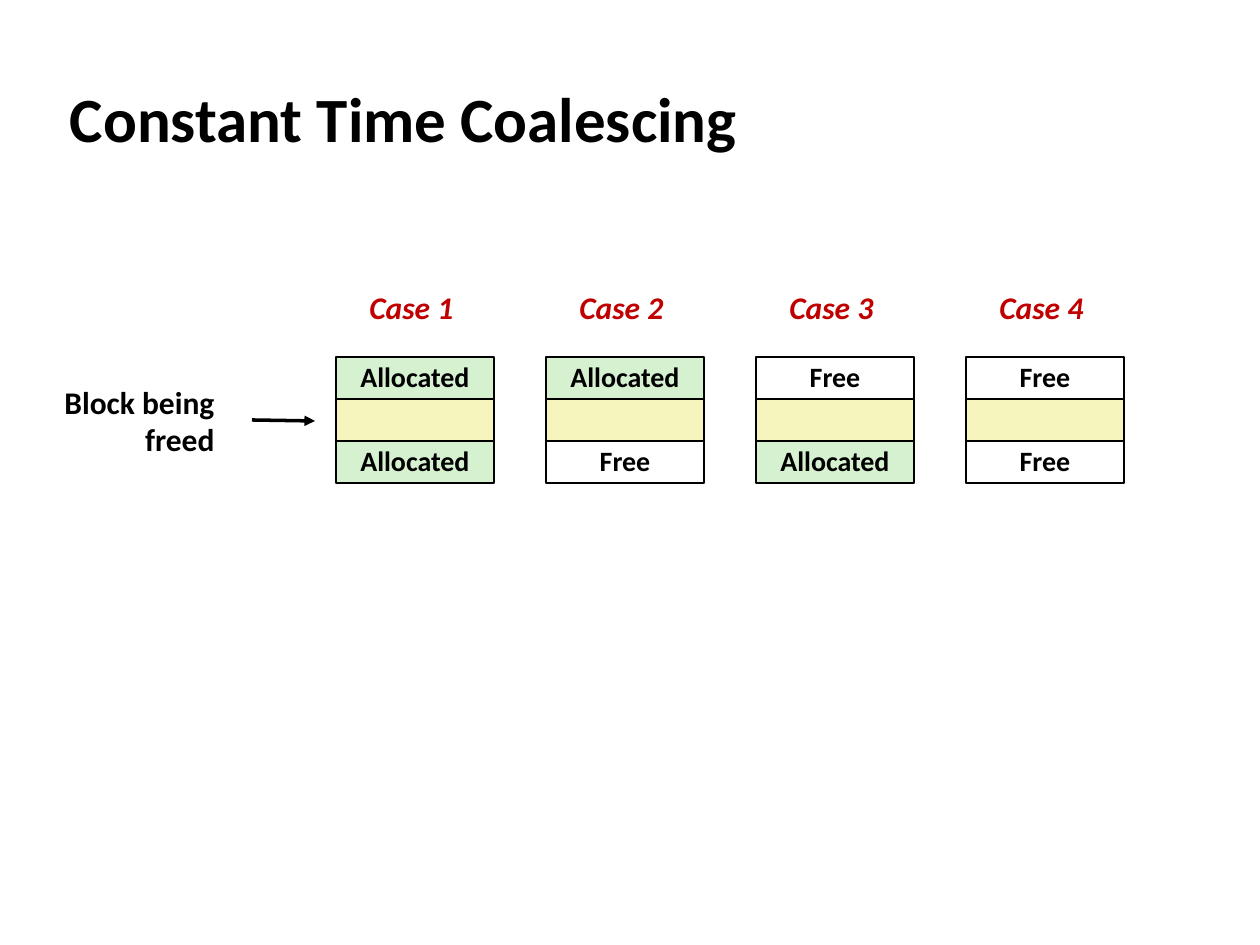
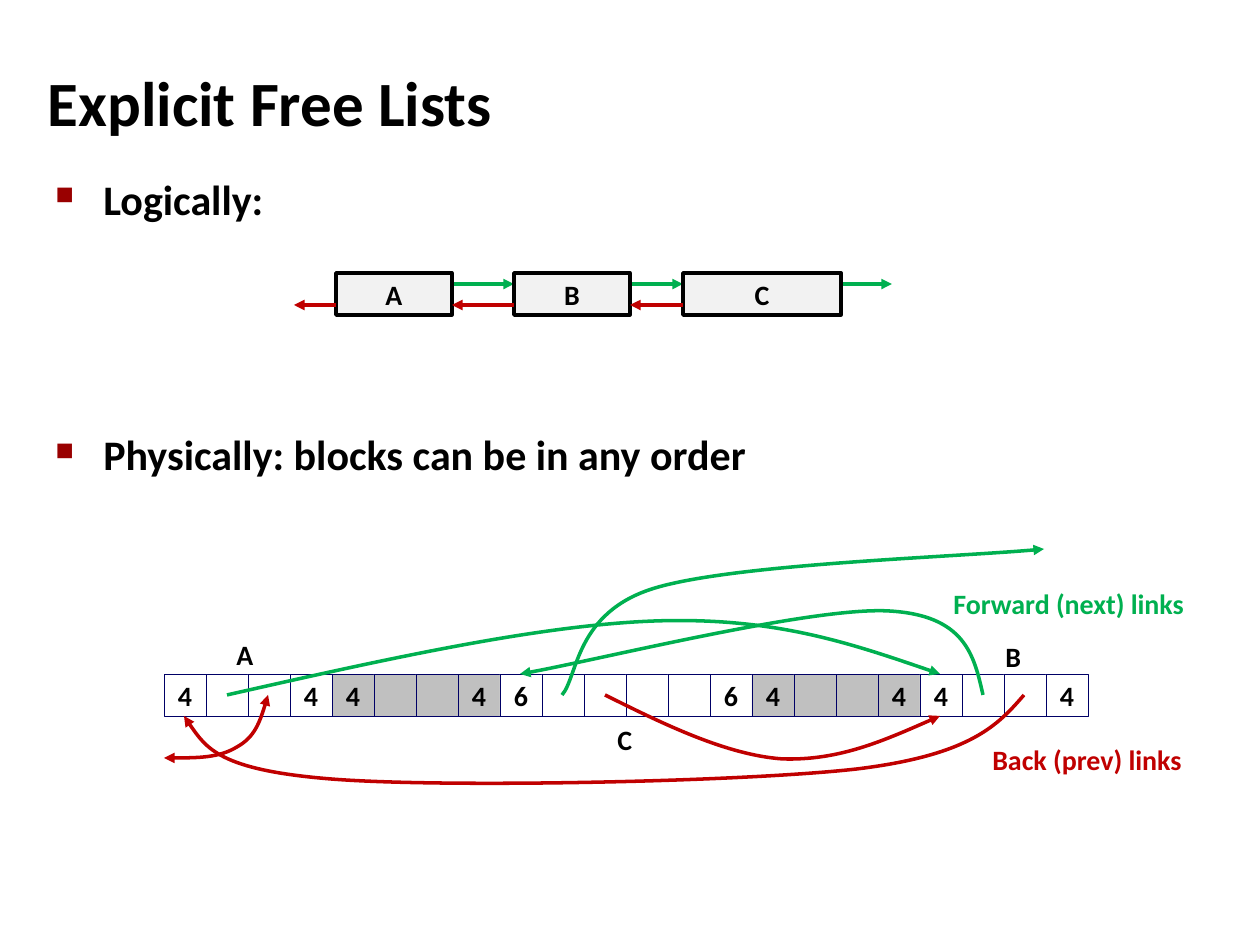
from dataclasses import dataclass

from lxml.etree import SubElement
from pptx import Presentation
from pptx.dml.color import RGBColor as Color
from pptx.enum.shapes import MSO_CONNECTOR as Connector, MSO_SHAPE as Shape
from pptx.enum.text import MSO_ANCHOR as Anchor, MSO_AUTO_SIZE as AutoSize, PP_ALIGN as Align
from pptx.oxml.ns import qn
from pptx.util import Emu, Inches, Pt

EMU_PER_PX = 914400 / 126


@dataclass(frozen=True)
class Theme:
    font: str = "Calibri"
    title_size: int = 36
    bullet_size: int = 24
    label_size: int = 18
    small_size: int = 16
    black: str = "000000"
    white: str = "FFFFFF"
    red: str = "C00000"
    green: str = "00B050"
    bullet: str = "990000"
    allocated: str = "D5F1CF"
    freed: str = "F6F5BD"
    node: str = "F2F2F2"
    used: str = "C0C0C0"
    cell_line: str = "000066"
    arrow_width: int = 2


def px(length):
    return Emu(round(length * EMU_PER_PX))


def in_groups(items, size):
    return [items[start:start + size] for start in range(0, len(items), size)]


def write_text(para, text, font=Theme.font, size=Theme.small_size, color=Theme.black,
               italic=False, align=Align.LEFT, spacing=1.0):
    para.alignment = align
    para.line_spacing = spacing
    span = para.add_run()
    span.text = text
    span.font.name = font
    span.font.size = Pt(size)
    span.font.bold = True
    span.font.italic = italic
    span.font.color.rgb = Color.from_string(color)


class Painter:
    def __init__(self, deck, theme):
        self.deck = deck
        self.theme = theme
        self.page = None

    def start_page(self, title, left, top, width, spacing=1.0):
        self.page = self.deck.slides.add_slide(self.deck.slide_layouts[5])
        box = self.page.shapes.title
        box.left, box.top, box.width, box.height = map(px, (left, top, width, 79))
        frame = box.text_frame
        frame.auto_size = AutoSize.NONE
        frame.vertical_anchor = Anchor.MIDDLE
        frame.margin_left = frame.margin_right = px(8)
        write_text(frame.paragraphs[0], title, size=self.theme.title_size, spacing=spacing)

    def text_box(self, left, top, width, height, wrap=False):
        box = self.page.shapes.add_textbox(*map(px, (left, top, width, height)))
        box.text_frame.word_wrap = wrap
        return box.text_frame

    def label(self, lines, left, top, width, height, **text_format):
        frame = self.text_box(left, top, width, height)
        for index, line in enumerate(lines.split("\n")):
            para = frame.add_paragraph() if index else frame.paragraphs[0]
            write_text(para, line, **text_format)

    def bullets(self, items, left, top, width, height, gap):
        frame = self.text_box(left, top, width, height, wrap=True)
        for index, item in enumerate(items):
            para = frame.add_paragraph() if index else frame.paragraphs[0]
            props = para._p.get_or_add_pPr()
            props.set("marL", str(px(48)))
            props.set("indent", str(px(-48)))
            SubElement(SubElement(props, qn("a:buClr")), qn("a:srgbClr"), val=self.theme.bullet)
            SubElement(props, qn("a:buSzPct"), val="60000")
            SubElement(props, qn("a:buChar"), char="■")
            para.space_before = Pt(gap if index else 0)
            write_text(para, item, size=self.theme.bullet_size, spacing=0.85)

    def block(self, text, left, top, width, height, fill, line=Theme.black,
              line_width=1, spacing=1.0):
        box = self.page.shapes.add_shape(Shape.RECTANGLE, *map(px, (left, top, width, height)))
        box.shadow.inherit = False
        box.fill.solid()
        box.fill.fore_color.rgb = Color.from_string(fill)
        box.line.color.rgb = Color.from_string(line)
        box.line.width = Pt(line_width)
        if text:
            frame = box.text_frame
            frame.word_wrap = False
            frame.vertical_anchor = Anchor.MIDDLE
            write_text(frame.paragraphs[0], text, align=Align.CENTER, spacing=spacing)

    def style_arrow(self, stroke, color, ends):
        stroke.line.color.rgb = Color.from_string(color)
        stroke.line.width = Pt(self.theme.arrow_width)
        outline = stroke.element.spPr.find(qn("a:ln"))
        for end in ends:
            SubElement(outline, qn(f"a:{end}"), type="triangle")

    def arrow(self, start, stop, color):
        stroke = self.page.shapes.add_connector(Connector.STRAIGHT, *map(px, start + stop))
        self.style_arrow(stroke, color, ["tailEnd"])
        SubElement(stroke.element.spPr, qn("a:effectLst"))

    def curve(self, points, color, ends=("tailEnd",)):
        builder = self.page.shapes.build_freeform(*points[0], scale=EMU_PER_PX)
        builder.add_line_segments(points[1:], close=False)
        stroke = builder.convert_to_shape()
        stroke.shadow.inherit = False
        stroke.fill.background()
        outline = next(stroke.element.iter(qn("a:path")))
        for steps in in_groups(outline.findall(qn("a:lnTo")), 3):
            bezier = SubElement(outline, qn("a:cubicBezTo"))
            for step in steps:
                bezier.append(step[0])
                outline.remove(step)
        self.style_arrow(stroke, color, ends)


def build_coalescing(painter):
    theme = painter.theme
    painter.start_page("Constant Time Coalescing", 62, 78, 968)
    fills = {"Allocated": theme.allocated, "Free": theme.white, "": theme.freed}
    cases = [("Allocated", "Allocated"), ("Allocated", "Free"),
             ("Free", "Allocated"), ("Free", "Free")]
    for index, (before, after) in enumerate(cases):
        left = 336 + 210 * index
        painter.label(f"Case {index + 1}", left + 21, 284, 110, 50,
                      size=theme.label_size, color=theme.red, italic=True, spacing=0.98)
        for row, state in enumerate((before, "", after)):
            painter.block(state, left, 357 + 42 * row, 158, 42, fills[state], spacing=0.98)
    painter.label("Block being\nfreed", 51, 379, 176, 88,
                  size=theme.label_size, align=Align.RIGHT, spacing=0.98)
    painter.arrow((252, 420), (315, 421), theme.black)


def build_free_lists(painter):
    theme = painter.theme
    painter.start_page("Explicit Free Lists", 40, 67, 837, spacing=0.87)
    painter.bullets(["Logically:", "Physically: blocks can be in any order"],
                    43, 175, 1145, 335, gap=121.4)

    nodes = [("A", 336, 116), ("B", 514, 116), ("C", 683, 158)]
    edges = [294] + [edge for _, left, width in nodes for edge in (left, left + width)] + [892]
    gaps = in_groups(edges, 2)
    for left, right in gaps[1:]:
        painter.arrow((left, 284), (right, 284), theme.green)
    for name, left, width in nodes:
        painter.block(name, left, 273, width, 42, theme.node, line_width=2)
    for left, right in gaps[:-1]:
        painter.arrow((right, 305), (left, 305), theme.red)

    cell, memory_top = 42, 674
    cell_left = 164
    for index, length in enumerate([4, 4, 6, 4, 4]):
        fill = theme.used if index % 2 else theme.white
        for position in range(length):
            text = str(length) if position in (0, length - 1) else ""
            painter.block(text, cell_left, memory_top, cell, cell,
                          fill, line=theme.cell_line, line_width=0.25)
            cell_left += cell

    forward_links = [
        [(227, 695), (382, 660), (538, 625), (656, 621), (776, 617), (858, 646), (940, 674)],
        [(983, 695), (974, 655), (965, 615), (888, 611), (811, 607), (582, 664), (520, 674)],
        [(562, 695), (578, 677), (575, 612), (655, 588), (735, 564), (963, 557), (1044, 549)],
    ]
    back_links = [
        [(1024, 695), (998, 725), (971, 755), (857, 769), (741, 782), (444, 788), (331, 779),
         (219, 770), (202, 743), (184, 716)],
        [(605, 695), (665, 725), (727, 755), (782, 759), (839, 761), (890, 738), (940, 716)],
    ]
    first_back_link = [(268, 695), (262, 716), (255, 737), (237, 747),
                       (219, 758), (192, 758), (164, 758)]
    for points in forward_links:
        painter.curve(points, theme.green)
    for points in back_links:
        painter.curve(points, theme.red)
    painter.curve(first_back_link, theme.red, ends=("headEnd", "tailEnd"))

    painter.label("Forward (next) links", 941, 580, 258, 47, color=theme.green)
    painter.label("Back (prev) links", 980, 736, 217, 47, color=theme.red)
    for name, left, top in [("A", 224, 631), ("B", 993, 633), ("C", 605, 716)]:
        painter.label(name, left, top, 41, 47)


def main():
    deck = Presentation()
    deck.slide_width, deck.slide_height = Inches(10), Inches(7.5)
    painter = Painter(deck, Theme())
    build_coalescing(painter)
    build_free_lists(painter)
    deck.save("out.pptx")


if __name__ == "__main__":
    main()
